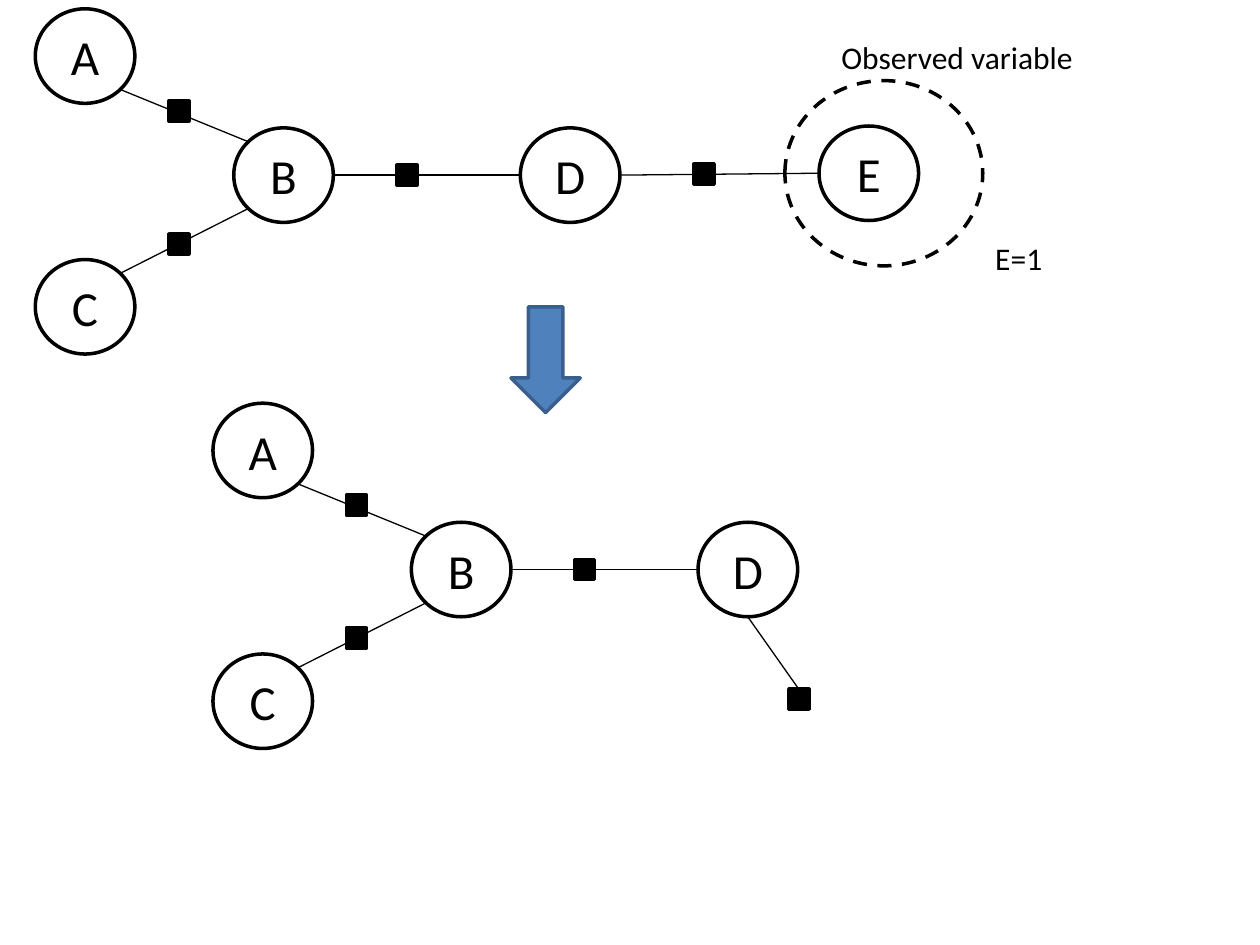
from math import cos, radians, sin

from lxml import etree
from pptx import Presentation
from pptx.dml.color import RGBColor
from pptx.enum.dml import MSO_LINE
from pptx.enum.shapes import MSO_CONNECTOR, MSO_SHAPE
from pptx.enum.text import MSO_ANCHOR, MSO_AUTO_SIZE, PP_ALIGN
from pptx.oxml.ns import qn
from pptx.util import Inches, Pt

OVAL = MSO_SHAPE.OVAL
RECT = MSO_SHAPE.RECTANGLE
ARROW = MSO_SHAPE.RIGHT_ARROW
LINE = MSO_CONNECTOR.STRAIGHT
DASH = MSO_LINE.DASH
MIDDLE = MSO_ANCHOR.MIDDLE
CENTER = PP_ALIGN.CENTER
LEFT = PP_ALIGN.LEFT
GROW = MSO_AUTO_SIZE.SHAPE_TO_FIT_TEXT

HUES = {"ink": "000000", "paper": "FFFFFF", "blue": "4F81BD", "navy": "3A5F8C"}
FONT = "Calibri"
COLS, ROWS = 100, 75
CELL = Inches(0.1)
NODE = (7.9, 7.5)
DOT = (1.6, 1.6)
TREE = {"A": (0, 0), "B": (15.75, 9.45), "C": (0, 19.9), "D": (38.5, 9.45)}
DOTS = [(10.6, 7.3), (10.6, 17.85), (28.7, 12.4)]
EDGES = [("A", 45, "B", 225), ("B", 135, "C", -45), ("B", 0, "D", 180)]


def grid(*cells):
    return [round(cell * CELL) for cell in cells]


def hue(name):
    return RGBColor.from_string(HUES[name])


def write(shape, text, size, align):
    part = shape.text_frame.paragraphs[0]
    part.alignment = align
    run = part.add_run()
    run.text = text
    run.font.name = FONT
    run.font.size = Pt(size)
    run.font.color.rgb = hue("ink")


def draw(shapes, kind, box, fill, edge="ink"):
    shape = shapes.add_shape(kind, *grid(*box))
    shape.shadow.inherit = False
    if fill:
        shape.fill.solid()
        shape.fill.fore_color.rgb = hue(fill)
    else:
        shape.fill.background()
    shape.line.color.rgb = hue(edge)
    shape.line.width = Pt(2)
    return shape


def node(shapes, name, left, top):
    shape = draw(shapes, OVAL, (left, top, *NODE), "paper")
    shape.text_frame.vertical_anchor = MIDDLE
    write(shape, name, 28, CENTER)
    return shape


def dot(shapes, left, top):
    return draw(shapes, RECT, (left, top, *DOT), "ink")


def rim(shape, angle):
    turn = radians(angle)
    return (round(shape.left + shape.width * (1 + cos(turn)) / 2),
            round(shape.top + shape.height * (1 + sin(turn)) / 2))


def link(shapes, start, end):
    line = shapes.add_connector(LINE, *start, *end)
    line.line.color.rgb = hue("ink")
    line.line.width = Pt(0.75)
    etree.SubElement(line._element.spPr, qn("a:effectLst"))
    return line


def tree(slide, left, top):
    shapes = slide.shapes.add_group_shape().shapes
    nodes = {name: node(shapes, name, left + x, top + y)
             for name, (x, y) in TREE.items()}
    for first, out, last, back in EDGES:
        link(shapes, rim(nodes[first], out), rim(nodes[last], back))
    for x, y in DOTS:
        dot(shapes, left + x, top + y)
    return shapes, nodes["D"]


def full(slide, left, top):
    shapes, last = tree(slide, left, top)
    seen = node(shapes, "E", left + 62.2, top + 9.3)
    link(shapes, rim(last, 0), rim(seen, 180))
    dot(shapes, left + 52.3, top + 12.3)


def reduced(slide, left, top):
    shapes, last = tree(slide, left, top)
    factor = dot(shapes, left + 45.7, top + 22.7)
    edge = link(shapes, rim(last, 90), rim(factor, -90))
    edge.end_connect(factor, 0)


def label(slide, text, box, wrap):
    shape = slide.shapes.add_textbox(*grid(*box))
    shape.text_frame.word_wrap = wrap
    shape.text_frame.auto_size = GROW
    write(shape, text, 18, LEFT)


def notes(slide, left, top):
    label(slide, "E=1", (left + 15.7, top + 12.1, 12.8, 4), True)
    ring = draw(slide.shapes, OVAL, (left, top, 15.7, 14.7), None)
    ring.line.dash_style = DASH
    label(slide, "Observed variable", (left + 3.5, top - 3.9, 20.6, 4), False)


def step(slide, left, top):
    arrow = draw(slide.shapes, ARROW, (left, top, 8.4, 5.5), "blue", "navy")
    arrow.rotation = 90


def main():
    deck = Presentation()
    deck.slide_width, deck.slide_height = grid(COLS, ROWS)
    slide = deck.slides.add_slide(deck.slide_layouts[6])
    full(slide, 2.8, 0.7)
    step(slide, 39.1, 25.8)
    notes(slide, 62.3, 6.4)
    reduced(slide, 16.9, 32)
    deck.save("out.pptx")


if __name__ == "__main__":
    main()
